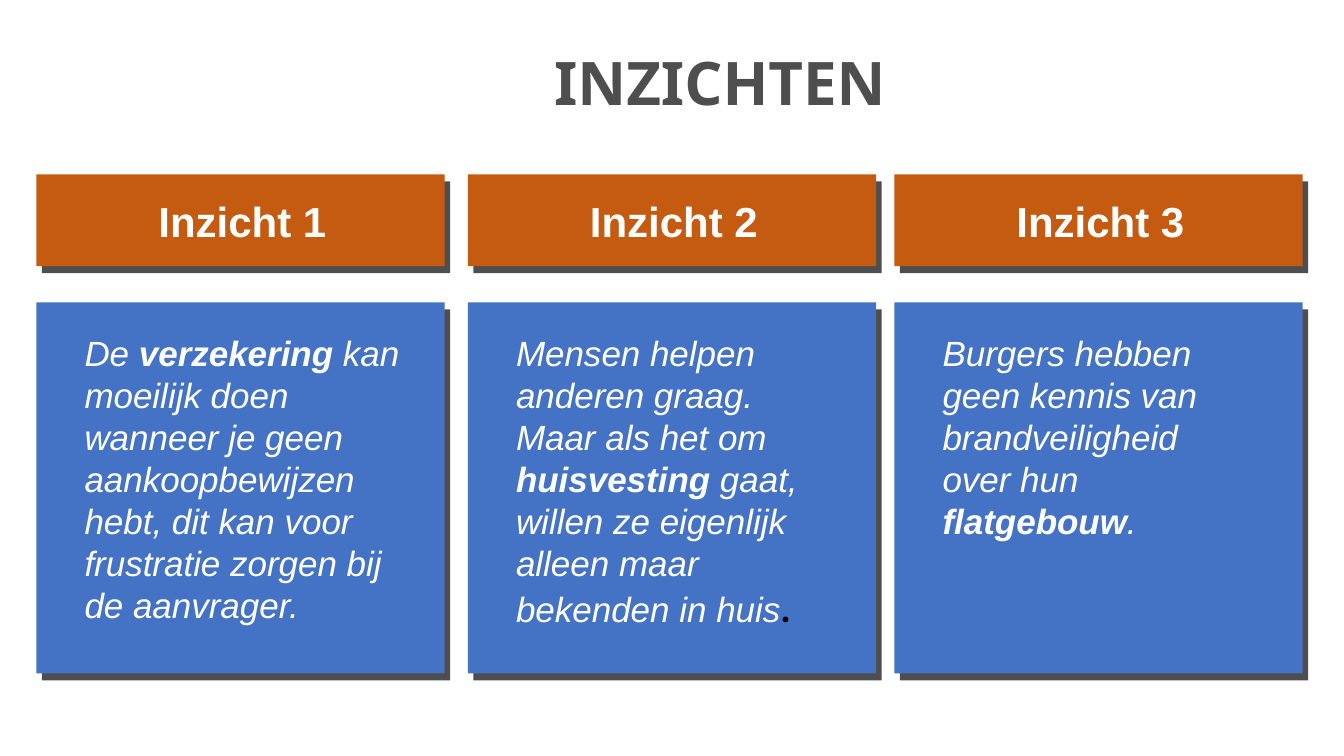
from pptx import Presentation
from pptx.dml.color import RGBColor
from pptx.enum.shapes import MSO_SHAPE
from pptx.enum.text import MSO_ANCHOR, MSO_AUTO_SIZE, PP_ALIGN
from pptx.util import Inches, Pt

RECTANGLE = MSO_SHAPE.RECTANGLE
MIDDLE = MSO_ANCHOR.MIDDLE
NO_FIT = MSO_AUTO_SIZE.NONE
LEFT, CENTER = PP_ALIGN.LEFT, PP_ALIGN.CENTER

GREY, ORANGE, BLUE, WHITE, BLACK = "4E4E4E", "C55A11", "4472C4", "FFFFFF", "000000"

TITLE_FORMAT = {"name": "Noto Sans", "size": Pt(42.9), "bold": True, "color": GREY}
HEADING = {"name": "Arial", "size": Pt(30), "bold": True, "color": WHITE}
BODY = {"name": "Arial", "size": Pt(25), "italic": True, "bold": False, "color": WHITE}
STRONG = {**BODY, "bold": True}
FULL_STOP = {"name": "Calibri", "size": Pt(28), "bold": True, "color": BLACK}

TITLE = "INZICHTEN"
# Each insight: heading, then paragraphs of (text, format) runs
INSIGHTS = [
    ("Inzicht 1", [
        [("De ", BODY), ("verzekering", STRONG),
         (" kan moeilijk doen wanneer je geen aankoopbewijzen hebt, "
          "dit kan voor frustratie zorgen bij de aanvrager.", BODY)],
    ]),
    ("Inzicht 2", [
        [("Mensen helpen anderen graag. Maar als het om ", BODY),
         ("huisvesting", STRONG),
         (" gaat, willen ze eigenlijk alleen maar bekenden in huis", BODY),
         (".", FULL_STOP)],
    ]),
    ("Inzicht 3", [
        [("Burgers hebben geen kennis van brandveiligheid", BODY)],
        [("over hun ", BODY), ("flatgebouw", STRONG), (".", BODY)],
    ]),
]

SLIDE_SIZE = (13.33, 7.5)
TITLE_BOX = (5.36, 0.44, 3.56, 0.82)
COLUMN_LEFTS = (0.36, 4.64, 8.87)
CARD_WIDTH = 4.05
SHADE_OFFSET = (0.055, 0.07)
TEXT_INDENT, TEXT_WIDTH = 0.38, 3.33
HEADING_ROW = {"top": 1.73, "height": 0.91, "text_top": 1.89, "text_height": 0.61,
               "fill": ORANGE, "align": CENTER}
BODY_ROW = {"top": 3, "height": 3.68, "text_top": 3.24, "text_height": 3.4,
            "fill": BLUE, "align": LEFT}


def rgb(value):
    return RGBColor.from_string(value)


def write_runs(paragraph, runs):
    for text, style in runs:
        run = paragraph.add_run()
        run.text = text
        for key, value in style.items():
            if key == "color":
                run.font.color.rgb = rgb(value)
            else:
                setattr(run.font, key, value)


def add_block(slide, left, top, height, fill):
    block = slide.shapes.add_shape(
        RECTANGLE, *map(Inches, (left, top, CARD_WIDTH, height)))
    block.shadow.inherit = False
    block.fill.solid()
    block.fill.fore_color.rgb = rgb(fill)
    block.line.fill.background()


def add_card(slide, left, row, paragraphs):
    """Add a coloured block with its offset grey shade and its text."""
    dx, dy = SHADE_OFFSET
    add_block(slide, left + dx, row["top"] + dy, row["height"], GREY)
    add_block(slide, left, row["top"], row["height"], row["fill"])
    box = slide.shapes.add_textbox(*map(Inches, (
        left + TEXT_INDENT, row["text_top"], TEXT_WIDTH, row["text_height"])))
    frame = box.text_frame
    frame.word_wrap = True
    for index, runs in enumerate(paragraphs):
        paragraph = frame.add_paragraph() if index else frame.paragraphs[0]
        paragraph.alignment = row["align"]
        write_runs(paragraph, runs)


def add_title(slide):
    title = slide.shapes.title
    title.left, title.top, title.width, title.height = map(Inches, TITLE_BOX)
    frame = title.text_frame
    for key, value in {"word_wrap": False, "auto_size": NO_FIT,
                       "vertical_anchor": MIDDLE}.items():
        setattr(frame, key, value)
    paragraph = frame.paragraphs[0]
    paragraph.alignment = CENTER
    paragraph.line_spacing = 0.9
    write_runs(paragraph, [(TITLE, TITLE_FORMAT)])


def main():
    deck = Presentation()
    deck.slide_width, deck.slide_height = map(Inches, SLIDE_SIZE)
    slide = deck.slides.add_slide(deck.slide_layouts.get_by_name("Title Only"))
    add_title(slide)
    for left, (heading, paragraphs) in zip(COLUMN_LEFTS, INSIGHTS):
        add_card(slide, left, HEADING_ROW, [[(heading, HEADING)]])
        add_card(slide, left, BODY_ROW, paragraphs)
    deck.save("out.pptx")


if __name__ == "__main__":
    main()
